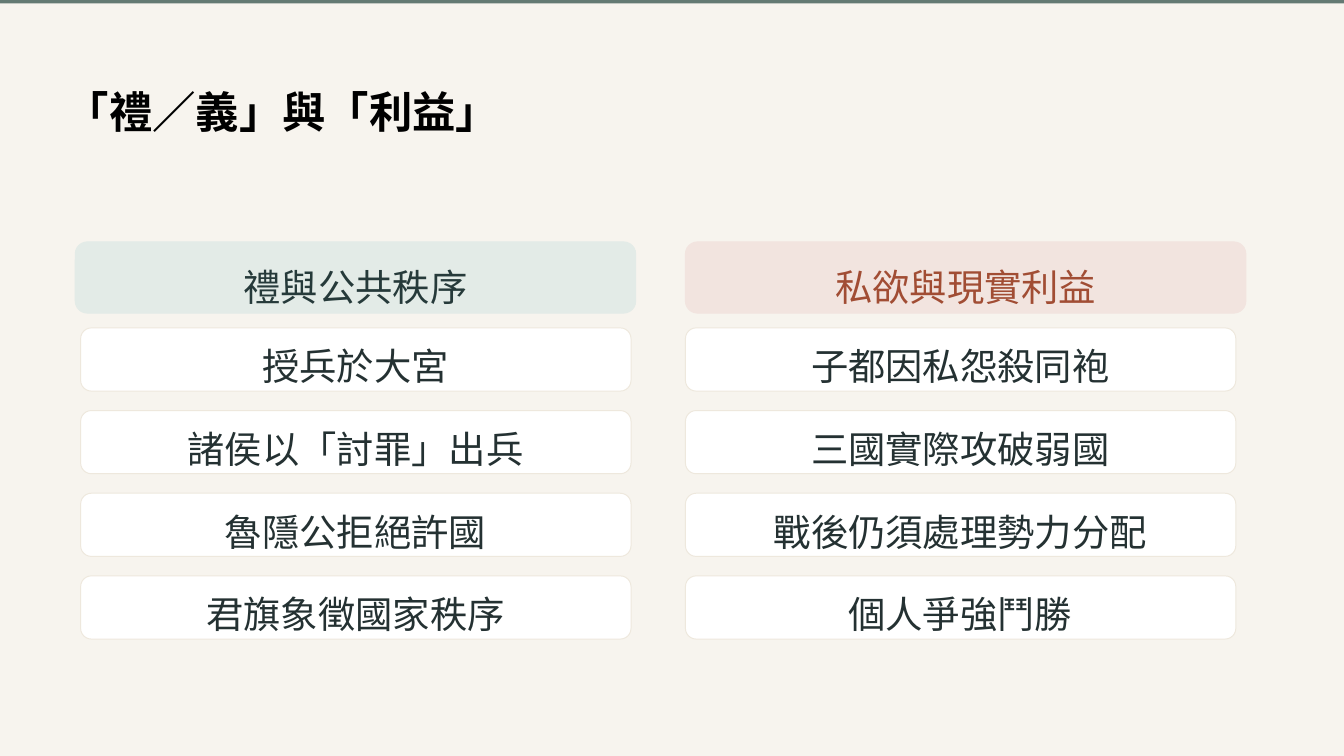
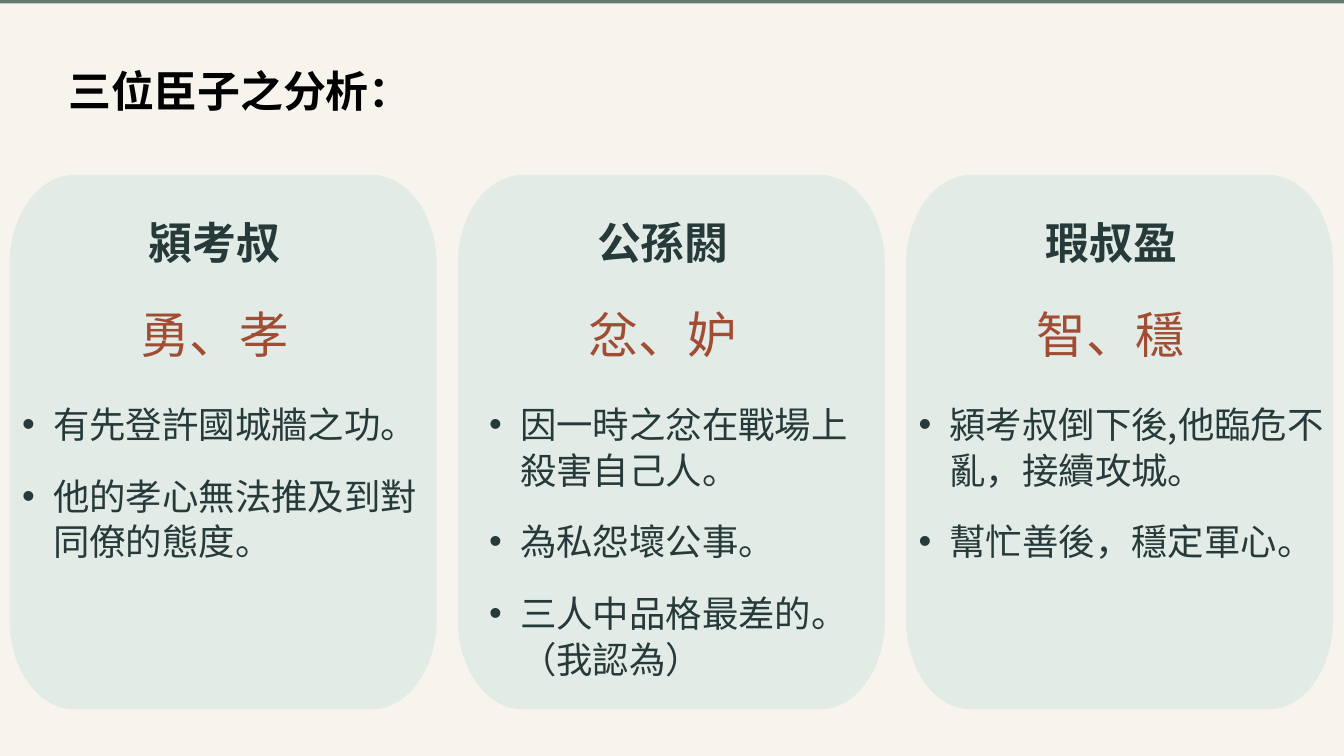
from lxml import etree
from pptx import Presentation
from pptx.dml.color import RGBColor
from pptx.enum.shapes import MSO_SHAPE
from pptx.enum.text import PP_ALIGN
from pptx.oxml.ns import qn
from pptx.util import Inches, Pt

CREAM = RGBColor(0xF7, 0xF4, 0xEE)
SAGE = RGBColor(0x64, 0x7A, 0x73)
MINT = RGBColor(0xE3, 0xEB, 0xE7)
BLUSH = RGBColor(0xF2, 0xE4, 0xDF)
WHITE = RGBColor(0xFF, 0xFF, 0xFF)
SAND = RGBColor(0xEE, 0xE8, 0xDD)
BLACK = RGBColor(0, 0, 0)
PINE = RGBColor(0x26, 0x3A, 0x3A)
INK = RGBColor(0x24, 0x31, 0x32)
RUST = RGBColor(0xA1, 0x4D, 0x34)

TITLE_FONT = "Noto Sans"
BODY_FONT = "Noto Sans CJK JP"
LEFT, CENTER = PP_ALIGN.LEFT, PP_ALIGN.CENTER
RECTANGLE, ROUNDED = MSO_SHAPE.RECTANGLE, MSO_SHAPE.ROUNDED_RECTANGLE
SLIDE_WIDTH, SLIDE_HEIGHT = 20, 11.25
CURVE = 0.55  # share of the way from a curve's end to its sharp corner

# Left edge of header, left edge of cards, heading, header fill, heading colour, cards
COLUMNS = [
    (1.12, 1.2, "禮與公共秩序", MINT, PINE,
     ["授兵於大宮", "諸侯以「討罪」出兵", "魯隱公拒絕許國", "君旗象徵國家秩序"]),
    (10.2, 10.2, "私欲與現實利益", BLUSH, RUST,
     ["子都因私怨殺同袍", "三國實際攻破弱國", "戰後仍須處理勢力分配", "個人爭強鬥勝"]),
]

# Name, traits, text indent, text width, text height, remarks
MINISTERS = [
    ("潁考叔", "勇、孝", 0.64, 6.34, 3.08,
     ["有先登許國城牆之功。", "他的孝心無法推及到對同僚的態度。"]),
    ("公孫閼", "忿、妒", 0.92, 6.04, 4.13,
     ["因一時之忿在戰場上殺害自己人。", "為私怨壞公事。", "三人中品格最差的。（我認為）"]),
    ("瑕叔盈", "智、穩", 0.64, 6.34, 3.08,
     ["潁考叔倒下後,他臨危不亂，接續攻城。", "幫忙善後，穩定軍心。"]),
]


def paint(shape, fill, line=None):
    shape.shadow.inherit = False
    shape.fill.solid()
    shape.fill.fore_color.rgb = fill
    if line is None:
        shape.line.fill.background()
    else:
        shape.line.color.rgb = line
        shape.line.width = Pt(1.05)


def add_box(slide, kind, left, top, width, height, fill, line=None):
    shape = slide.shapes.add_shape(
        kind, Inches(left), Inches(top), Inches(width), Inches(height))
    if kind == ROUNDED:
        shape.adjustments[0] = 0.17
    paint(shape, fill, line)


def add_bullet(paragraph, indent):
    properties = paragraph._p.get_or_add_pPr()
    properties.set("marL", str(Inches(indent)))
    properties.set("indent", str(Inches(-0.46)))
    etree.SubElement(properties, qn("a:buFont")).set("typeface", "Arial")
    etree.SubElement(properties, qn("a:buChar")).set("char", "•")


def add_text(slide, left, top, width, height, lines, size, spacing, color,
             font=BODY_FONT, bold=False, align=CENTER, indent=None, gap=0):
    box = slide.shapes.add_textbox(
        Inches(left), Inches(top), Inches(width), Inches(height))
    frame = box.text_frame
    frame.word_wrap = True
    frame.margin_left = frame.margin_right = 0
    frame.margin_top = frame.margin_bottom = 0
    for index, line in enumerate(lines):
        paragraph = frame.add_paragraph() if index else frame.paragraphs[0]
        paragraph.text = line
        paragraph.alignment = align
        paragraph.line_spacing = Pt(spacing)
        if index:
            paragraph.space_before = Pt(gap)
        if indent is not None:
            add_bullet(paragraph, indent)
        paragraph.font.size = Pt(size)
        paragraph.font.bold = bold
        paragraph.font.color.rgb = color
        paragraph.font.name = font
        # East Asian typeface
        defaults = paragraph._p.pPr.find(qn("a:defRPr"))
        etree.SubElement(defaults, qn("a:ea")).set("typeface", font)


def add_base_slide(presentation, title, left, top, size, spacing):
    slide = presentation.slides.add_slide(presentation.slide_layouts[6])
    slide.background.fill.solid()
    slide.background.fill.fore_color.rgb = CREAM
    add_text(slide, left, top, 17.9, 0.78, [title], size, spacing, BLACK,
             TITLE_FONT, bold=True, align=LEFT)
    add_box(slide, RECTANGLE, 0, 0, SLIDE_WIDTH, 0.05, SAGE)
    return slide


def add_column(slide, header_left, card_left, heading, fill, color, cards):
    # Header, with its text box centred
    header_width, text_width = 8.34, 0.56 * len(heading)
    add_box(slide, ROUNDED, header_left, 3.6, header_width, 1.06, fill, fill)
    add_text(slide, header_left + (header_width - text_width) / 2, 3.93,
             text_width, 0.66, [heading], 40, 48, color)
    # Cards at equal steps
    for row, card in enumerate(cards):
        top = 4.88 + 1.23 * row
        add_box(slide, ROUNDED, card_left, top, 8.19, 0.94, WHITE, SAND)
        add_text(slide, card_left + 0.28, top + 0.23, 7.62, 0.66,
                 [card], 40, 48, INK)


def bend_corner(segment, start, end, corner):
    """Turn a straight segment into a curve that bulges towards the corner."""
    segment.tag = qn("a:cubicBezTo")
    for position, anchor in enumerate((start, end)):
        control = etree.Element(qn("a:pt"))
        for axis, value, target in zip("xy", anchor, corner):
            control.set(axis, str(round(value + CURVE * (target - value))))
        segment.insert(position, control)


def add_oval_cornered_panel(slide, left, top, width, height, radius_x, radius_y):
    # Outline clockwise from the top edge, relative to the panel
    right, bottom = width - radius_x, height - radius_y
    outline = [(radius_x, 0), (right, 0), (width, radius_y), (width, bottom),
               (right, height), (radius_x, height), (0, bottom), (0, radius_y),
               (radius_x, 0)]
    points = [(Inches(x), Inches(y)) for x, y in outline]
    builder = slide.shapes.build_freeform(*points[0])
    builder.add_line_segments(points[1:], close=True)
    panel = builder.convert_to_shape(Inches(left), Inches(top))
    # Every second segment is a corner
    segments = list(panel._element.iter(qn("a:lnTo")))
    for index in range(1, len(segments), 2):
        start, end = points[index], points[index + 1]
        if index % 4 == 1:
            corner = (end[0], start[1])
        else:
            corner = (start[0], end[1])
        bend_corner(segments[index], start, end, corner)
    paint(panel, MINT, MINT)


def add_minister(slide, left, top, name, traits, indent, text_width, text_height,
                 remarks):
    add_oval_cornered_panel(slide, left, top, 6.34, 7.94, 0.96, 1.32)
    add_text(slide, left + 0.51, top + 0.56, 5.07, 0.8, [name], 47, 59.2, PINE,
             TITLE_FONT, bold=True)
    add_text(slide, left, top + 3.34, text_width, text_height, remarks, 39, 49.1,
             PINE, align=LEFT, indent=indent, gap=27.7)
    add_text(slide, left + 1.94, top + 1.91, 2.21, 0.88, [traits], 53.1, 63.7, RUST)


def build_contrast_slide(presentation):
    slide = add_base_slide(presentation, "「禮／義」與「利益」", 0.98, 1.27, 46.5, 55.8)
    for column in COLUMNS:
        add_column(slide, *column)


def build_ministers_slide(presentation):
    slide = add_base_slide(presentation, "三位臣子之分析：", 1.02, 0.92, 46, 58)
    for index, minister in enumerate(MINISTERS):
        add_minister(slide, 0.15 + 6.67 * index, 2.61, *minister)


def main():
    presentation = Presentation()
    presentation.slide_width = Inches(SLIDE_WIDTH)
    presentation.slide_height = Inches(SLIDE_HEIGHT)
    build_contrast_slide(presentation)
    build_ministers_slide(presentation)
    presentation.save("out.pptx")


if __name__ == "__main__":
    main()
